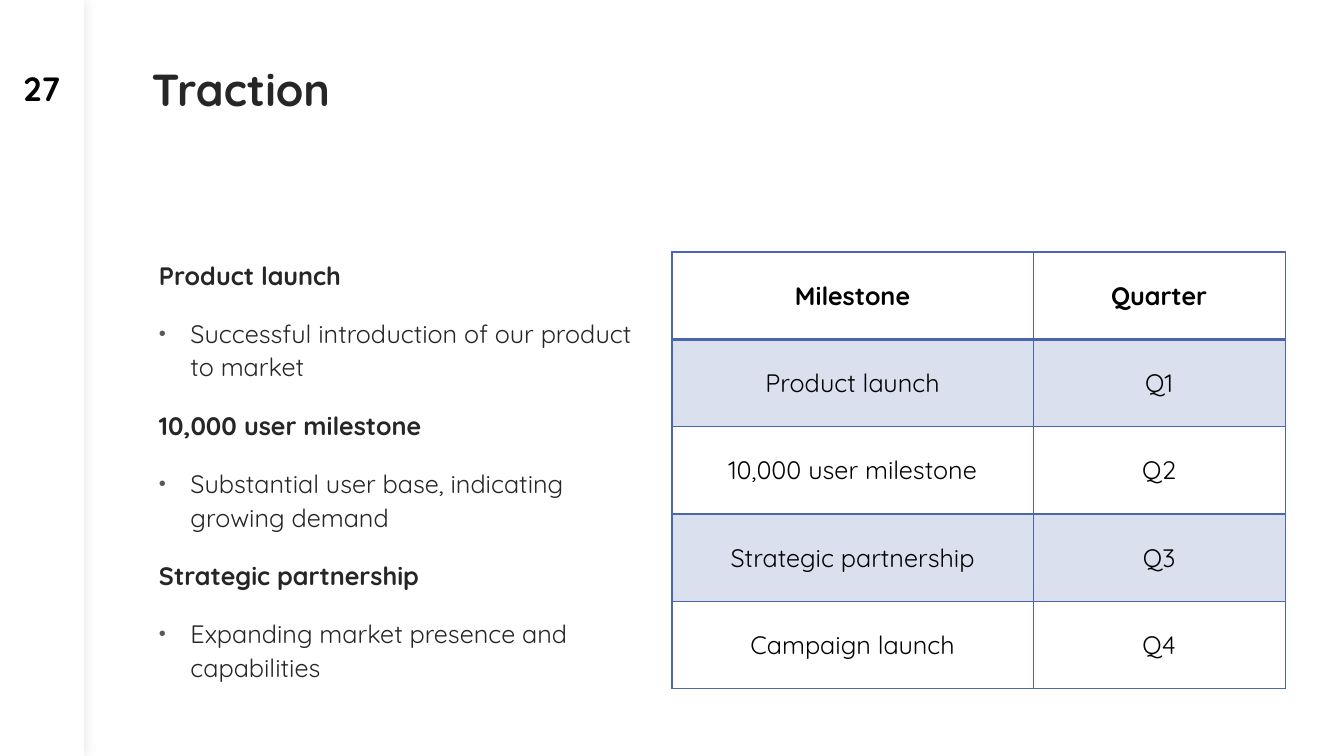
import dataclasses

import pptx
import pptx.dml.color
import pptx.enum.shapes
import pptx.enum.text
import pptx.oxml
import pptx.oxml.ns
import pptx.util

NAMESPACE = pptx.oxml.ns.nsdecls("a")
ALIGN = pptx.enum.text.PP_ALIGN
ANCHOR = pptx.enum.text.MSO_ANCHOR


@dataclasses.dataclass(frozen=True)
class Theme:
    font: str = "Quicksand"
    paper: str = "FFFFFF"
    black: str = "000000"
    ink: str = "262626"
    bullet: str = "595959"
    accent: str = "4A66AC"
    title_size: int = 32
    number_size: int = 24
    body_size: int = 18


THEME = Theme()

POINTS = [
    ("Product launch", "Successful introduction of our product to market"),
    ("10,000 user milestone", "Substantial user base, indicating growing demand"),
    ("Strategic partnership", "Expanding market presence and capabilities"),
]
MILESTONES = [
    ("Milestone", "Quarter"),
    ("Product launch", "Q1"),
    ("10,000 user milestone", "Q2"),
    ("Strategic partnership", "Q3"),
    ("Campaign launch", "Q4"),
]


def px(length):
    return pptx.util.Emu(round(length * 9525))


def rgb(value):
    return pptx.dml.color.RGBColor.from_string(value)


def add_run(paragraph, text, size, color, bold=False):
    run = paragraph.add_run()
    run.text = text
    run.font.name = THEME.font
    run.font.size = pptx.util.Pt(size)
    run.font.bold = bold
    run.font.color.rgb = rgb(color)


def add_text_frame(slide, box):
    frame = slide.shapes.add_textbox(*map(px, box)).text_frame
    frame.word_wrap = True
    return frame


def add_sidebar(slide, box, number):
    left, top, width, height = box
    bar = slide.shapes.add_shape(
        pptx.enum.shapes.MSO_SHAPE.RECTANGLE, *map(px, box))
    bar.fill.solid()
    bar.fill.fore_color.rgb = rgb(THEME.paper)
    bar.line.fill.background()
    bar._element.spPr.append(pptx.oxml.parse_xml(
        f'<a:effectLst {NAMESPACE}><a:outerShdw blurRad="{pptx.util.Pt(10)}" dist="0" dir="0">'
        f'<a:srgbClr val="{THEME.black}"><a:alpha val="10000"/></a:srgbClr>'
        f'</a:outerShdw></a:effectLst>'))
    frame = add_text_frame(slide, (left, top + 64, width, 40))
    frame.vertical_anchor = ANCHOR.MIDDLE
    paragraph = frame.paragraphs[0]
    paragraph.alignment = ALIGN.CENTER
    add_run(paragraph, number, THEME.number_size, THEME.black, True)


def add_title(slide, box, text):
    paragraph = add_text_frame(slide, box).paragraphs[0]
    paragraph.line_spacing = 0.8
    add_run(paragraph, text, THEME.title_size, THEME.ink, True)


def format_point(paragraph, indent, hanging=0):
    paragraph.line_spacing = 1.1
    properties = paragraph._p.get_or_add_pPr()
    properties.set("marL", str(px(indent)))
    properties.set("indent", str(-px(hanging)))
    if hanging:
        for markup in (
            f'<a:buClr {NAMESPACE}><a:srgbClr val="{THEME.bullet}"/></a:buClr>',
            f'<a:buSzPct {NAMESPACE} val="80000"/>',
            f'<a:buFont {NAMESPACE} typeface="Arial"/>',
            f'<a:buChar {NAMESPACE} char="•"/>',
        ):
            properties.append(pptx.oxml.parse_xml(markup))


def add_points(slide, box, points):
    frame = add_text_frame(slide, box)
    for index, (heading, detail) in enumerate(points):
        paragraph = frame.add_paragraph() if index else frame.paragraphs[0]
        format_point(paragraph, 5)
        if index:
            paragraph.space_before = pptx.util.Pt(18)
        add_run(paragraph, heading, THEME.body_size, THEME.ink, True)
        paragraph = frame.add_paragraph()
        format_point(paragraph, 35, 30)
        paragraph.space_before = pptx.util.Pt(18)
        add_run(paragraph, detail, THEME.body_size, THEME.ink)


def set_borders(cell, widths):
    properties = cell._tc.get_or_add_tcPr()
    for index, (side, width) in enumerate(widths.items()):
        properties.insert(index, pptx.oxml.parse_xml(
            f'<a:ln{side} {NAMESPACE} w="{pptx.util.Pt(width)}"><a:solidFill>'
            f'<a:srgbClr val="{THEME.accent}"/></a:solidFill></a:ln{side}>'))


def fill_cell(cell, shaded):
    if not shaded:
        cell.fill.background()
        return
    cell.fill.solid()
    cell.fill.fore_color.rgb = rgb(THEME.accent)
    color = cell._tc.tcPr.find(".//" + pptx.oxml.ns.qn("a:srgbClr"))
    color.append(pptx.oxml.parse_xml(f'<a:alpha {NAMESPACE} val="20000"/>'))


def add_milestone_table(slide, box, rows, first_width):
    left, top, width, height = box
    table = slide.shapes.add_table(len(rows), 2, *map(px, box)).table
    table.first_row = False
    table.horz_banding = False
    table.columns[0].width = px(first_width)
    table.columns[1].width = px(width - first_width)
    for row_index, texts in enumerate(rows):
        table.rows[row_index].height = px(height / len(rows))
        for column_index, text in enumerate(texts):
            cell = table.cell(row_index, column_index)
            cell.vertical_anchor = ANCHOR.MIDDLE
            paragraph = cell.text_frame.paragraphs[0]
            paragraph.alignment = ALIGN.CENTER
            add_run(paragraph, text, THEME.body_size, THEME.black, row_index == 0)
            fill_cell(cell, row_index % 2 == 1)
            set_borders(cell, {
                "L": 1,
                "R": 1,
                "T": 2 if row_index == 1 else 1,
                "B": 2 if row_index == 0 else 1,
            })


def build_traction_slide(presentation):
    slide = presentation.slides.add_slide(presentation.slide_layouts[6])
    slide.background.fill.solid()
    slide.background.fill.fore_color.rgb = rgb(THEME.paper)
    add_sidebar(slide, (0, 0, 80, 720), "27")
    add_title(slide, (135, 64, 517, 152), "Traction")
    add_points(slide, (137, 240, 480, 416), POINTS)
    add_milestone_table(slide, (640, 240, 584, 416), MILESTONES, 344)


def main():
    presentation = pptx.Presentation()
    presentation.slide_width = px(1280)
    presentation.slide_height = px(720)
    build_traction_slide(presentation)
    presentation.save("out.pptx")


if __name__ == "__main__":
    main()
